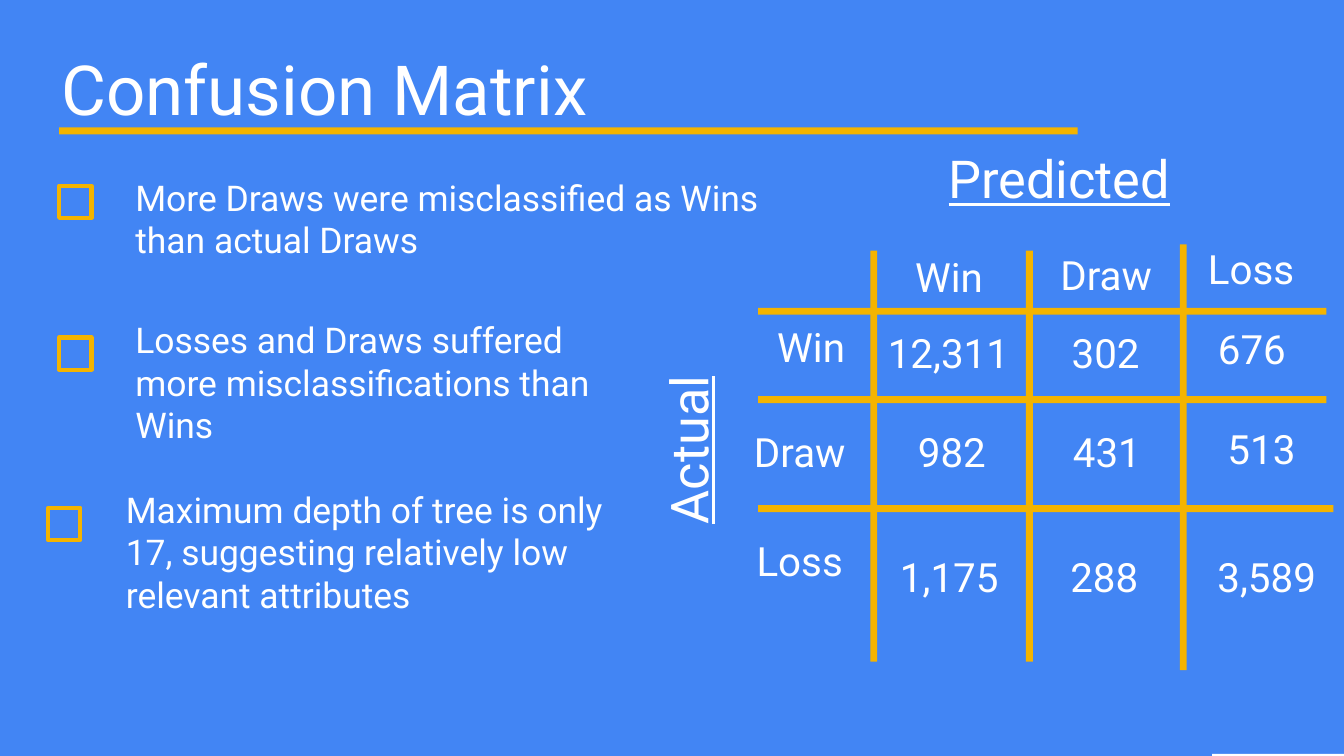
from pptx import Presentation
from pptx.dml.color import RGBColor
from pptx.enum.shapes import MSO_SHAPE as Shape
from pptx.enum.text import MSO_ANCHOR as Anchor, MSO_AUTO_SIZE as AutoSize, PP_ALIGN as Align
from pptx.util import Cm, Pt

BLUE = RGBColor(0x42, 0x85, 0xF4)
YELLOW = RGBColor(0xF4, 0xB4, 0x00)
WHITE = RGBColor(0xFF, 0xFF, 0xFF)
BAR = 0.13
CELL_HEIGHT = 1.32

presentation = Presentation()
presentation.slide_width, presentation.slide_height = Cm(25.4), Cm(14.29)
slide = presentation.slides.add_slide(presentation.slide_layouts[5])
slide.background.fill.solid()
slide.background.fill.fore_color.rgb = BLUE


def write(shape, box, text, size, align=Align.LEFT, anchor=Anchor.BOTTOM):
    """Place a text shape at box (left, top, width, height in cm) and fill it."""
    shape.left, shape.top, shape.width, shape.height = map(Cm, box)
    frame = shape.text_frame
    frame.word_wrap = True
    frame.auto_size = AutoSize.NONE
    frame.vertical_anchor = anchor
    frame.margin_left = frame.margin_right = Cm(0.25)
    frame.margin_top = frame.margin_bottom = Cm(0.25)
    frame.text = text
    paragraph = frame.paragraphs[0]
    paragraph.alignment = align
    paragraph.font.name = "Roboto"
    paragraph.font.size = Pt(size)
    paragraph.font.color.rgb = WHITE
    return paragraph


def add_rectangle(left, top, width, height, color=YELLOW):
    shape = slide.shapes.add_shape(Shape.RECTANGLE, Cm(left), Cm(top), Cm(width), Cm(height))
    shape.shadow.inherit = False
    shape.fill.solid()
    shape.fill.fore_color.rgb = color
    shape.line.fill.background()
    return shape


# Title and its underline
write(slide.shapes.title, (0.91, 0.1, 10.62, 2.59), "Confusion Matrix", 37)
add_rectangle(1.12, 2.41, 19.25, BAR)

# Matrix grid
for top, width in [(5.82, 10.74), (7.49, 10.74), (9.55, 10.87)]:
    add_rectangle(14.33, top, width, BAR)
for left, top, height in [(16.45, 4.74, 7.77), (19.39, 4.74, 7.77), (22.3, 4.62, 8.05)]:
    add_rectangle(left, top, BAR, height)

# Matrix cells: text, left, top, width
cells = [
    ("Win", 16.59, 4.62, 2.69), ("Draw", 19.56, 4.57, 2.69), ("Loss", 22.3, 4.47, 2.69),
    ("Win", 14.2, 5.94, 2.26),
    ("12,311", 16.31, 6.05, 3.23), ("302", 19.28, 6.05, 3.23), ("676", 22.48, 5.97, 2.36),
    ("Draw", 13.77, 7.92, 2.69),
    ("982", 16.81, 7.92, 2.36), ("431", 19.74, 7.92, 2.36), ("513", 22.66, 7.87, 2.36),
    ("Loss", 13.77, 9.98, 2.69),
    ("1,175", 16.48, 10.29, 2.92), ("288", 19.41, 10.29, 2.92), ("3,589", 22.48, 10.29, 2.92),
]
for text, left, top, width in cells:
    cell = slide.shapes.add_textbox(0, 0, 0, 0)
    write(cell, (left, top, width, CELL_HEIGHT), text, 21.6, Align.CENTER)

# Axis names
for text, box, rotation in [
    ("Predicted", (17.68, 2.41, 4.78, 1.8), 0),
    ("Actual", (11.07, 7.39, 3.73, 1.8), 270),
]:
    axis_name = slide.shapes.add_textbox(0, 0, 0, 0)
    write(axis_name, box, text, 28).font.underline = True
    axis_name.rotation = rotation

# Findings with checkboxes: text, text box, checkbox left and top
findings = [
    ("More Draws were misclassified as Wins than actual Draws",
     (2.31, 3.07, 12.37, 2.13), 1.12, 3.51),
    ("Losses and Draws suffered more misclassifications than Wins",
     (2.31, 5.77, 9.22, 2.95), 1.12, 6.38),
    ("Maximum depth of tree is only 17, suggesting relatively low relevant attributes",
     (2.13, 8.97, 9.75, 2.95), 0.91, 9.6),
]
for text, box, left, top in findings:
    checkbox = add_rectangle(left, top, 0.61, 0.61)
    checkbox.fill.background()
    checkbox.line.color.rgb = YELLOW
    checkbox.line.width = Pt(2.25)
    finding = slide.shapes.add_textbox(0, 0, 0, 0)
    write(finding, box, text, 19, anchor=Anchor.TOP)

# Thin white edge in the bottom right corner
add_rectangle(22.91, 14.25, 2.49, 0.04, WHITE)

presentation.save("out.pptx")
